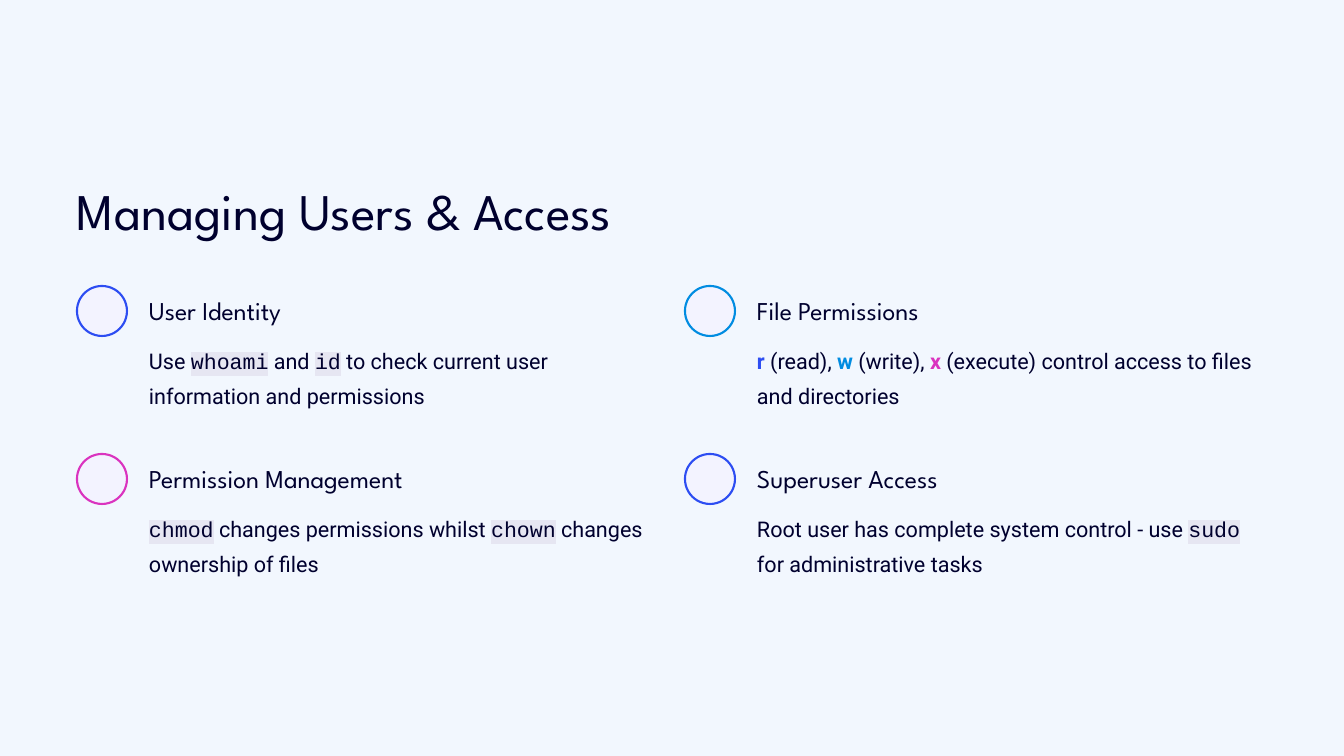
"""Build a slide with four topics on managing users and access."""
from lxml import etree
from pptx import Presentation
from pptx import util as u
from pptx.dml.color import RGBColor
from pptx.enum import shapes, text
from pptx.oxml import ns

COLORS = {
    "background": "F2F7FE", "ink": "00002E", "badge": "F3F3FF", "code": "E6E6F2",
    "blue": "2D4DF2", "cyan": "018CE1", "pink": "DA33BF",
}
HEADING_FONT, BODY_FONT, CODE_FONT = "League Spartan", "Roboto", "Courier New"

TITLE = "Managing Users & Access"
TOPICS = [
    ("User Identity", "blue", [
        ("Use ", "plain"), ("whoami", "code"), (" and ", "plain"), ("id", "code"),
        (" to check current user information and permissions", "plain")]),
    ("File Permissions", "cyan", [
        ("r", "blue"), (" (read), ", "plain"), ("w", "cyan"), (" (write), ", "plain"),
        ("x", "pink"), (" (execute) control access to files and directories", "plain")]),
    ("Permission Management", "pink", [
        ("chmod", "code"), (" changes permissions whilst ", "plain"),
        ("chown", "code"), (" changes ownership of files", "plain")]),
    ("Superuser Access", "blue", [
        ("Root user has complete system control - use ", "plain"), ("sudo", "code"),
        (" for administrative tasks", "plain")]),
]

LEFT, TOP = 77, 286
COLUMN_STEP, ROW_STEP = 608, 168
BADGE_SIZE, TEXT_INDENT = 50, 72


def px(*lengths):
    return [u.Emu(round(length * 914400 / 84)) for length in lengths]


def rgb(name):
    return RGBColor.from_string(COLORS[name])


def prepare_frame(shape, line_height, wrap):
    frame = shape.text_frame
    frame.margin_left = frame.margin_top = frame.margin_right = frame.margin_bottom = 0
    frame.auto_size = text.MSO_AUTO_SIZE.NONE
    frame.vertical_anchor = text.MSO_ANCHOR.TOP
    frame.word_wrap = wrap
    paragraph = frame.paragraphs[0]
    paragraph.alignment = text.PP_ALIGN.LEFT
    paragraph.line_spacing = u.Pt(line_height)
    return paragraph


def add_run(paragraph, words, font_name, size, color="ink", bold=False):
    run = paragraph.add_run()
    run.text = words
    run.font.name = font_name
    run.font.size = u.Pt(size)
    run.font.bold = bold
    run.font.color.rgb = rgb(color)
    return run


def highlight(run):
    mark = etree.Element(ns.qn("a:highlight"))
    etree.SubElement(mark, ns.qn("a:srgbClr"), val=COLORS["code"])
    run.font.fill._xPr.find(ns.qn("a:solidFill")).addnext(mark)


def add_topic(slide, left, top, heading, color, parts):
    badge = slide.shapes.add_shape(
        shapes.MSO_SHAPE.ROUNDED_RECTANGLE, *px(left, top, BADGE_SIZE, BADGE_SIZE))
    badge.adjustments[0] = 0.5
    badge.shadow.inherit = False
    badge.fill.solid()
    badge.fill.fore_color.rgb = rgb("badge")
    badge.line.color.rgb = rgb(color)
    badge.line.width = u.Pt(1.8)

    text_left = left + TEXT_INDENT
    heading_box = slide.shapes.add_textbox(*px(text_left, top + 8, 290, 32))
    add_run(prepare_frame(heading_box, 27.5, False), heading, HEADING_FONT, 22)

    body_box = slide.shapes.add_textbox(*px(text_left, top + 53, 510, 71))
    paragraph = prepare_frame(body_box, 30, True)
    for words, style in parts:
        if style == "code":
            highlight(add_run(paragraph, words, CODE_FONT, 18.5))
        elif style == "plain":
            add_run(paragraph, words, BODY_FONT, 18.5)
        else:
            add_run(paragraph, words, BODY_FONT, 18.5, style, True)


def main():
    presentation = Presentation()
    presentation.slide_width, presentation.slide_height = u.Inches(16), u.Inches(9)
    slide = presentation.slides.add_slide(presentation.slide_layouts[5])
    slide.background.fill.solid()
    slide.background.fill.fore_color.rgb = rgb("background")

    title = slide.shapes.title
    title.left, title.top, title.width, title.height = px(LEFT, 177, 609, 65)
    add_run(prepare_frame(title, 55, False), TITLE, HEADING_FONT, 44)

    for index, topic in enumerate(TOPICS):
        row, column = divmod(index, 2)
        add_topic(slide, LEFT + column * COLUMN_STEP, TOP + row * ROW_STEP, *topic)
    presentation.save("out.pptx")


if __name__ == "__main__":
    main()
